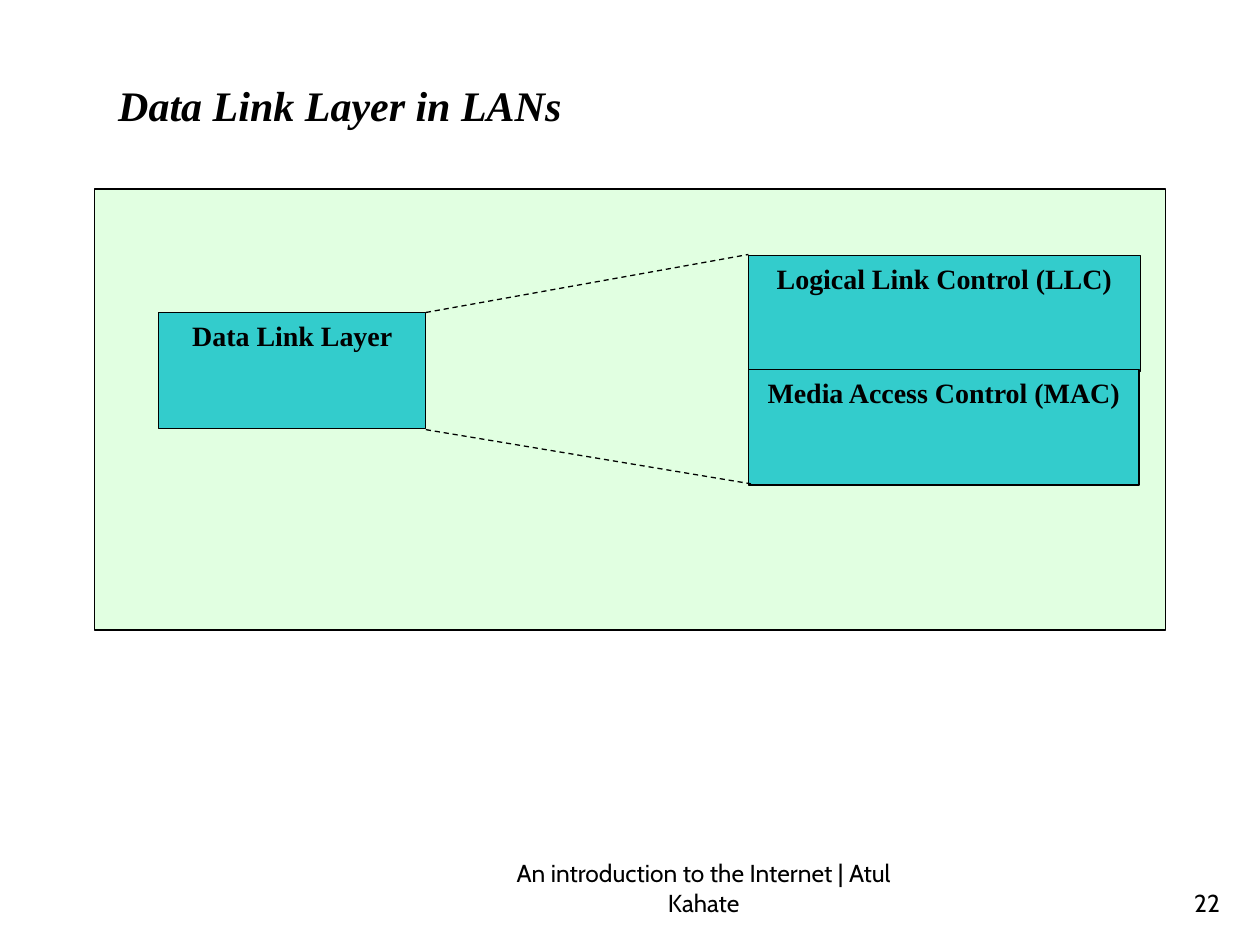
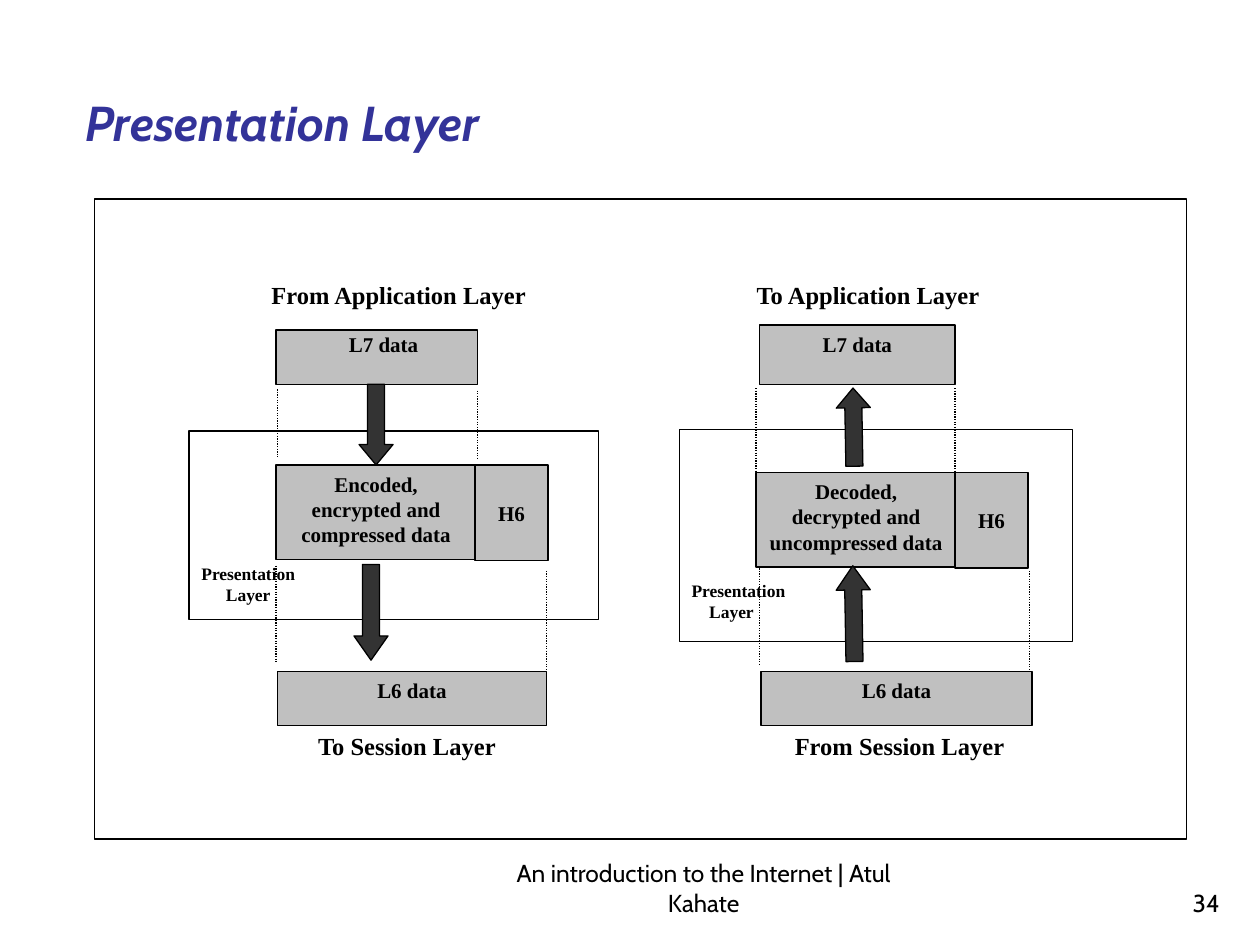
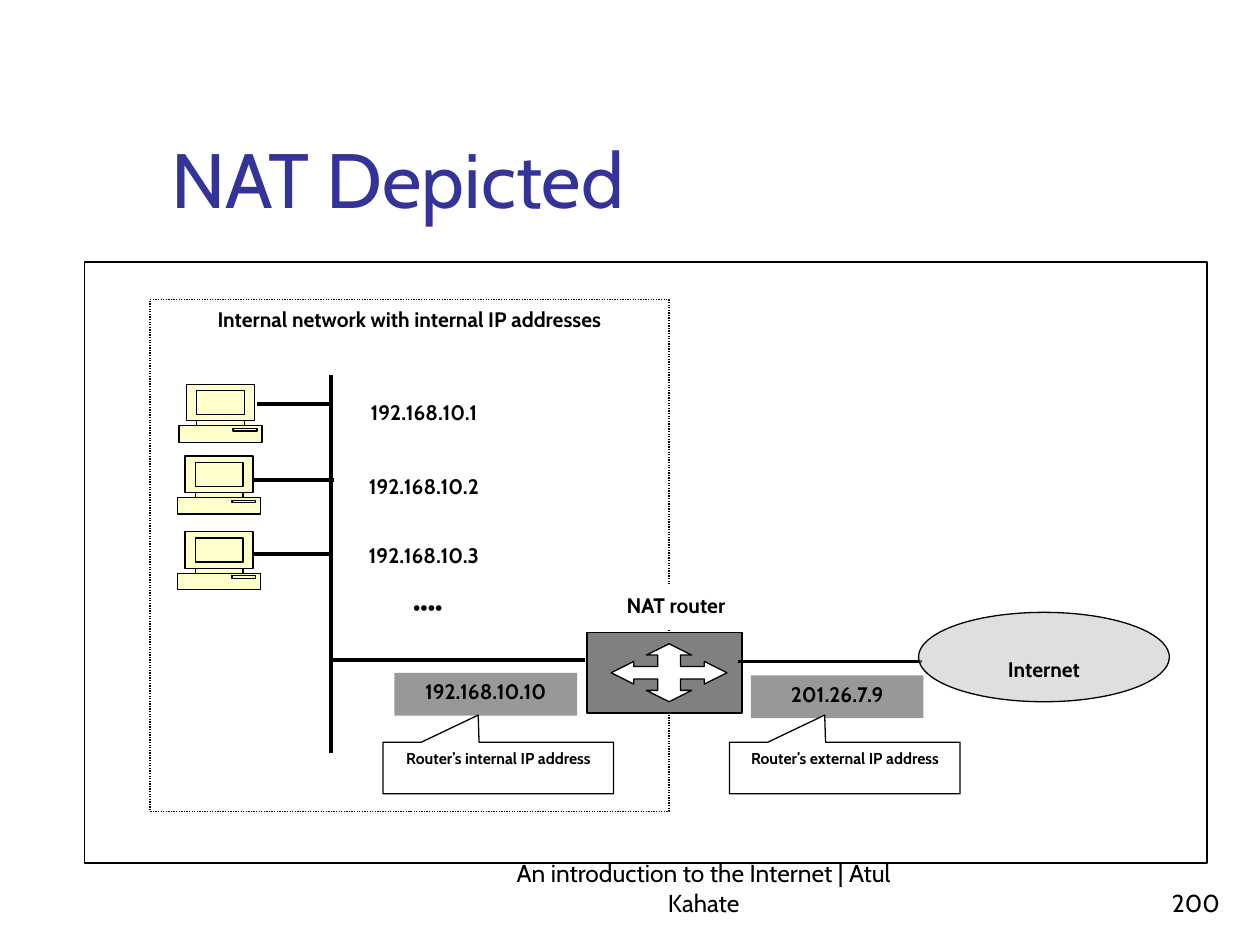
from dataclasses import dataclass

from lxml.etree import SubElement
from pptx import Presentation
from pptx.dml.color import RGBColor
from pptx.enum.dml import MSO_LINE
from pptx.enum.shapes import MSO_CONNECTOR, MSO_SHAPE
from pptx.enum.text import MSO_ANCHOR, MSO_AUTO_SIZE, PP_ALIGN
from pptx.oxml.ns import qn
from pptx.util import Inches, Pt

# Slide size and the grid laid over it
SLIDE_WIDTH, SLIDE_HEIGHT = Inches(10), Inches(7.5)
COLUMNS, ROWS = 10, 7.5

COLORS = {
    "ink": "000000",
    "paper": "FFFFFF",
    "title": "333399",
    "mint": "E1FFE1",
    "teal": "33CCCC",
    "silver": "C0C0C0",
    "charcoal": "333333",
    "router": "808080",
    "computer": "FFFFCC",
}
SERIF, SANS = "Times New Roman", "Cabin"
FOOTER = "An introduction to the Internet | Atul Kahate"


@dataclass
class TextStyle:
    font: str
    size: int
    bold: bool = True
    italic: bool = False
    color: str = "ink"


FOOTER_STYLE = TextStyle(SANS, 14, bold=False)
BOX_STYLE = TextStyle(SERIF, 16)
CAPTION_STYLE = TextStyle(SERIF, 14)
DATA_STYLE = TextStyle(SERIF, 12)
LAYER_STYLE = TextStyle(SERIF, 10)
ADDRESS_STYLE = TextStyle(SANS, 12)
CALLOUT_STYLE = TextStyle(SANS, 9)
DOTS_STYLE = TextStyle("Arial", 12, bold=False)


# Grid helpers
def column(count):
    return round(SLIDE_WIDTH * count / COLUMNS)


def row(count):
    return round(SLIDE_HEIGHT * count / ROWS)


def place(area):
    left, top, width, height = area
    return column(left), row(top), column(width), row(height)


# Formatting helpers
def paint(shape, fill=None, outline=None, dash=None, alpha=None):
    if fill:
        shape.fill.solid()
        shape.fill.fore_color.rgb = RGBColor.from_string(COLORS[fill])
        if alpha:
            color = shape.fill._xPr.find(qn("a:solidFill"))[0]
            SubElement(color, qn("a:alpha")).set("val", str(alpha * 1000))
    else:
        shape.fill.background()
    if outline:
        shape.line.color.rgb = RGBColor.from_string(COLORS[outline])
        shape.line.width = Pt(0.75)
        if dash:
            shape.line.dash_style = dash
    else:
        shape.line.fill.background()


def write(shape, lines, style, align=PP_ALIGN.CENTER, anchor=MSO_ANCHOR.TOP,
          wrap=True):
    frame = shape.text_frame
    frame.word_wrap = wrap
    frame.vertical_anchor = anchor
    if not wrap:
        frame.auto_size = MSO_AUTO_SIZE.SHAPE_TO_FIT_TEXT
    for index, line in enumerate(lines.split("\n")):
        paragraph = frame.add_paragraph() if index else frame.paragraphs[0]
        paragraph.alignment = align
        run = paragraph.add_run()
        run.text = line
        font = run.font
        font.name, font.size = style.font, Pt(style.size)
        font.bold, font.italic = style.bold, style.italic
        font.color.rgb = RGBColor.from_string(COLORS[style.color])


# Element builders
def add_box(slide, area, fill=None, outline="ink", text=None, style=None,
            kind=MSO_SHAPE.RECTANGLE, dash=None, alpha=None,
            anchor=MSO_ANCHOR.TOP, align=PP_ALIGN.CENTER):
    shape = slide.shapes.add_shape(kind, *place(area))
    shape.shadow.inherit = False
    paint(shape, fill, outline, dash, alpha)
    if text:
        write(shape, text, style, align, anchor)
    return shape


def add_text(slide, area, text, style, **options):
    box = slide.shapes.add_textbox(*place(area))
    write(box, text, style, **options)


def add_line(slide, start, end, width=0.75, dash=None):
    line = slide.shapes.add_connector(
        MSO_CONNECTOR.STRAIGHT, column(start[0]), row(start[1]),
        column(end[0]), row(end[1]))
    line.line.color.rgb = RGBColor.from_string(COLORS["ink"])
    line.line.width = Pt(width)
    if dash:
        line.line.dash_style = dash
    SubElement(line._element.spPr, qn("a:effectLst"))


def add_outline(slide, origin, points, fill):
    corners = [(column(origin[0] + x), row(origin[1] + y)) for x, y in points]
    builder = slide.shapes.build_freeform(*corners[0], scale=1.0)
    builder.add_line_segments(corners[1:], close=True)
    shape = builder.convert_to_shape()
    shape.shadow.inherit = False
    paint(shape, fill, "ink")


def add_block_arrow(slide, area, head, rotation=0):
    arrow = add_box(slide, area, "charcoal", kind=MSO_SHAPE.DOWN_ARROW)
    arrow.adjustments[0], arrow.adjustments[1] = 0.5, head
    arrow.rotation = rotation


def add_callout(slide, left, text):
    callout = add_box(slide, (left, 5.89, 1.83, 0.41), "paper", text=text,
                      style=CALLOUT_STYLE, kind=MSO_SHAPE.RECTANGULAR_CALLOUT)
    callout.adjustments[0], callout.adjustments[1] = -0.087, -1.025


def add_computer(slide, left, top):
    body = [(0.06, 0), (0.6, 0), (0.6, 0.29), (0.52, 0.29), (0.52, 0.33),
            (0.66, 0.33), (0.66, 0.46), (0, 0.46), (0, 0.33), (0.14, 0.33),
            (0.14, 0.29), (0.06, 0.29)]
    add_outline(slide, (left, top), body, "computer")
    neck, screen = (0.14, 0.29, 0.38, 0.04), (0.14, 0.05, 0.38, 0.19)
    drive = (0.43, 0.35, 0.19, 0.02)
    for x, y, width, height in (neck, screen, drive):
        add_box(slide, (left + x, top + y, width, height), "computer")


def add_router_cross(slide, center):
    quarter = [(0, -0.23), (0.18, -0.14), (0.09, -0.14), (0.09, -0.05),
               (0.28, -0.05), (0.28, -0.09), (0.46, 0)]
    right = quarter + [(x, -y) for x, y in quarter[-2::-1]]
    left = [(-x, y) for x, y in right[-2:0:-1]]
    add_outline(slide, center, right + left, "paper")


def add_slide(presentation, number):
    slide = presentation.slides.add_slide(presentation.slide_layouts[6])
    add_text(slide, (4, 6.83, 3.17, 0.5), FOOTER, FOOTER_STYLE,
             anchor=MSO_ANCHOR.BOTTOM)
    add_text(slide, (7.7, 6.83, 2.08, 0.5), str(number), FOOTER_STYLE,
             align=PP_ALIGN.RIGHT, anchor=MSO_ANCHOR.BOTTOM)
    return slide


def add_title(slide, area, text, style, **options):
    add_text(slide, area, text, style, align=PP_ALIGN.LEFT, **options)


# Slides
def build_data_link_slide(presentation):
    slide = add_slide(presentation, 22)
    add_box(slide, (0.75, 1.5, 8.5, 3.5), "mint")
    for area, text in (
        ((1.26, 2.48, 2.12, 0.92), "Data Link Layer"),
        ((5.94, 2.03, 3.11, 0.92), "Logical Link Control (LLC)"),
        ((5.94, 2.93, 3.1, 0.92), "Media Access Control (MAC)"),
    ):
        add_box(slide, area, "teal", text=text, style=BOX_STYLE)
    add_line(slide, (3.38, 3.41), (5.96, 3.84), dash=MSO_LINE.DASH)
    add_line(slide, (3.38, 2.48), (5.94, 2.02), dash=MSO_LINE.DASH)
    add_title(slide, (0.84, 0.58, 3.8, 0.5), "Data Link Layer in LANs",
              TextStyle(SERIF, 24, italic=True), wrap=False)


def build_presentation_layer_slide(presentation):
    slide = add_slide(presentation, 34)
    add_title(slide, (0.58, 0.5, 8.5, 0.75), "Presentation Layer",
              TextStyle(SANS, 28, italic=True, color="title"),
              anchor=MSO_ANCHOR.BOTTOM)
    add_box(slide, (0.75, 1.58, 8.67, 5.08), "paper")

    # Layer frames, the right one with its name inside
    add_box(slide, (1.5, 3.42, 3.25, 1.5))
    receiver = add_box(slide, (5.39, 3.41, 3.12, 1.68), "paper",
                       text="Presentation\nLayer", style=LAYER_STYLE,
                       align=PP_ALIGN.LEFT)
    receiver.text_frame.margin_top = row(1.19)
    name_end = receiver.text_frame.paragraphs[1]
    name_end._p.get_or_add_pPr().set("marL", str(column(0.14)))

    # Neighbouring layers
    for area, text in (
        ((2, 2.17, 2.33, 0.64), "From Application Layer"),
        ((5.83, 2.17, 2.12, 0.64), "To Application Layer"),
        ((2.17, 5.75, 2.12, 0.52), "To Session Layer"),
        ((6.08, 5.75, 2.12, 0.52), "From Session Layer"),
    ):
        add_text(slide, area, text, CAPTION_STYLE)

    # Data units
    for area, text in (
        ((2.19, 2.62, 1.6, 0.43), None),
        ((2.19, 3.69, 1.59, 0.75), "Encoded, encrypted and compressed data"),
        ((2.2, 5.33, 2.14, 0.43), "L6 data"),
        ((6.03, 2.58, 1.55, 0.47), "L7 data"),
        ((6, 3.75, 1.59, 0.75), "Decoded, decrypted and uncompressed data"),
        ((6.04, 5.33, 2.15, 0.43), "L6 data"),
    ):
        add_box(slide, area, "silver", text=text, style=DATA_STYLE)
    for left, top in ((3.77, 3.69), (7.58, 3.75)):
        add_box(slide, (left, top, 0.58, 0.76), "silver", text="H6",
                style=DATA_STYLE, anchor=MSO_ANCHOR.MIDDLE)

    # Direction of flow
    for area, head, rotation in (
        ((2.85, 3.05, 0.27, 0.64), 0.6, 0),
        ((2.81, 4.48, 0.27, 0.76), 0.71, 0),
        ((6.64, 4.49, 0.27, 0.76), 0.71, 179),
        ((6.64, 3.08, 0.27, 0.62), 0.58, 179),
    ):
        add_block_arrow(slide, area, head, rotation)

    # Dotted guides between data units
    for x, top, bottom in (
        (2.2, 3.09, 3.63), (3.79, 3.1, 3.64), (2.19, 4.49, 5.26),
        (4.34, 4.53, 5.31), (6.03, 4.51, 5.28), (8.17, 4.53, 5.31),
        (7.58, 3.08, 3.75), (6, 3.08, 3.75),
    ):
        add_line(slide, (x, top), (x, bottom), dash=MSO_LINE.ROUND_DOT)

    add_text(slide, (1.48, 4.42, 0.98, 0.44), "Presentation\nLayer",
             LAYER_STYLE, wrap=False)
    add_text(slide, (2.67, 2.58, 0.75, 0.3), "L7 data", DATA_STYLE,
             align=PP_ALIGN.LEFT, wrap=False)


def build_nat_slide(presentation):
    slide = add_slide(presentation, 200)
    add_title(slide, (1.26, 0.23, 8.52, 1.6), "NAT Depicted",
              TextStyle(SANS, 44, bold=False, color="title"),
              anchor=MSO_ANCHOR.BOTTOM)
    add_box(slide, (0.67, 2.08, 8.91, 4.77), "paper")
    add_box(slide, (1.19, 2.38, 4.12, 4.06), "paper",
            text="Internal network with internal IP addresses",
            style=ADDRESS_STYLE, dash=MSO_LINE.ROUND_DOT)

    # Router
    add_box(slide, (4.66, 5.02, 1.23, 0.64), "router")
    add_router_cross(slide, (5.31, 5.34))

    # Computers and cables
    for left, top in ((1.42, 3.05), (1.41, 3.62), (1.41, 4.22)):
        add_computer(slide, left, top)
    for start, end in (
        ((2.63, 2.98), (2.63, 5.98)),
        ((2.04, 3.21), (2.63, 3.21)),
        ((2.01, 3.81), (2.65, 3.81)),
        ((2.01, 4.4), (2.61, 4.4)),
        ((2.62, 5.24), (4.64, 5.24)),
        ((5.86, 5.25), (7.32, 5.25)),
    ):
        add_line(slide, start, end, width=2.25)

    # Labels on white
    for area, text, style in (
        ((2.77, 4.67, 1.25, 0.26), "••••", DOTS_STYLE),
        ((2.68, 3.12, 1.37, 0.34), "192.168.10.1", ADDRESS_STYLE),
        ((2.68, 3.71, 1.37, 0.3), "192.168.10.2", ADDRESS_STYLE),
        ((2.68, 4.26, 1.37, 0.33), "192.168.10.3", ADDRESS_STYLE),
        ((4.6, 4.65, 1.53, 0.35), "NAT router", ADDRESS_STYLE),
    ):
        add_box(slide, area, "paper", None, text, style)

    # Router addresses and the outside network
    for area, text in (
        ((3.13, 5.34, 1.45, 0.34), "192.168.10.10"),
        ((5.96, 5.36, 1.37, 0.34), "201.26.7.9"),
    ):
        add_box(slide, area, "charcoal", None, text, ADDRESS_STYLE, alpha=50)
    internet = add_box(slide, (7.29, 4.86, 1.99, 0.71), "silver",
                       text="Internet", style=ADDRESS_STYLE,
                       kind=MSO_SHAPE.OVAL, alpha=50)
    internet.text_frame.margin_top = row(0.25)
    internet.text_frame.margin_bottom = 0
    add_callout(slide, 3.04, "Router’s internal IP address")
    add_callout(slide, 5.79, "Router’s external IP address")


def main():
    presentation = Presentation()
    presentation.slide_width = SLIDE_WIDTH
    presentation.slide_height = SLIDE_HEIGHT
    build_data_link_slide(presentation)
    build_presentation_layer_slide(presentation)
    build_nat_slide(presentation)
    presentation.save("out.pptx")


if __name__ == "__main__":
    main()
